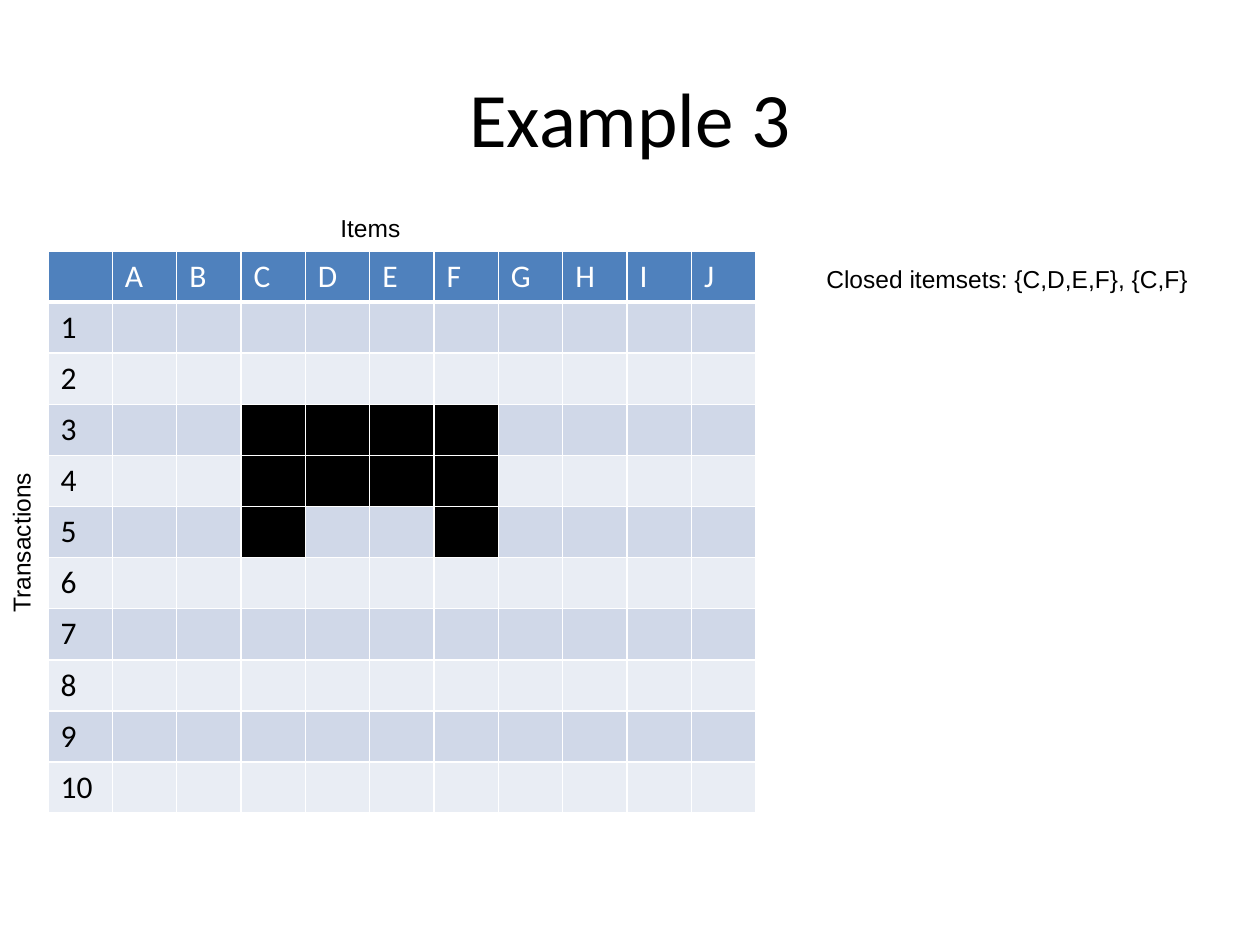
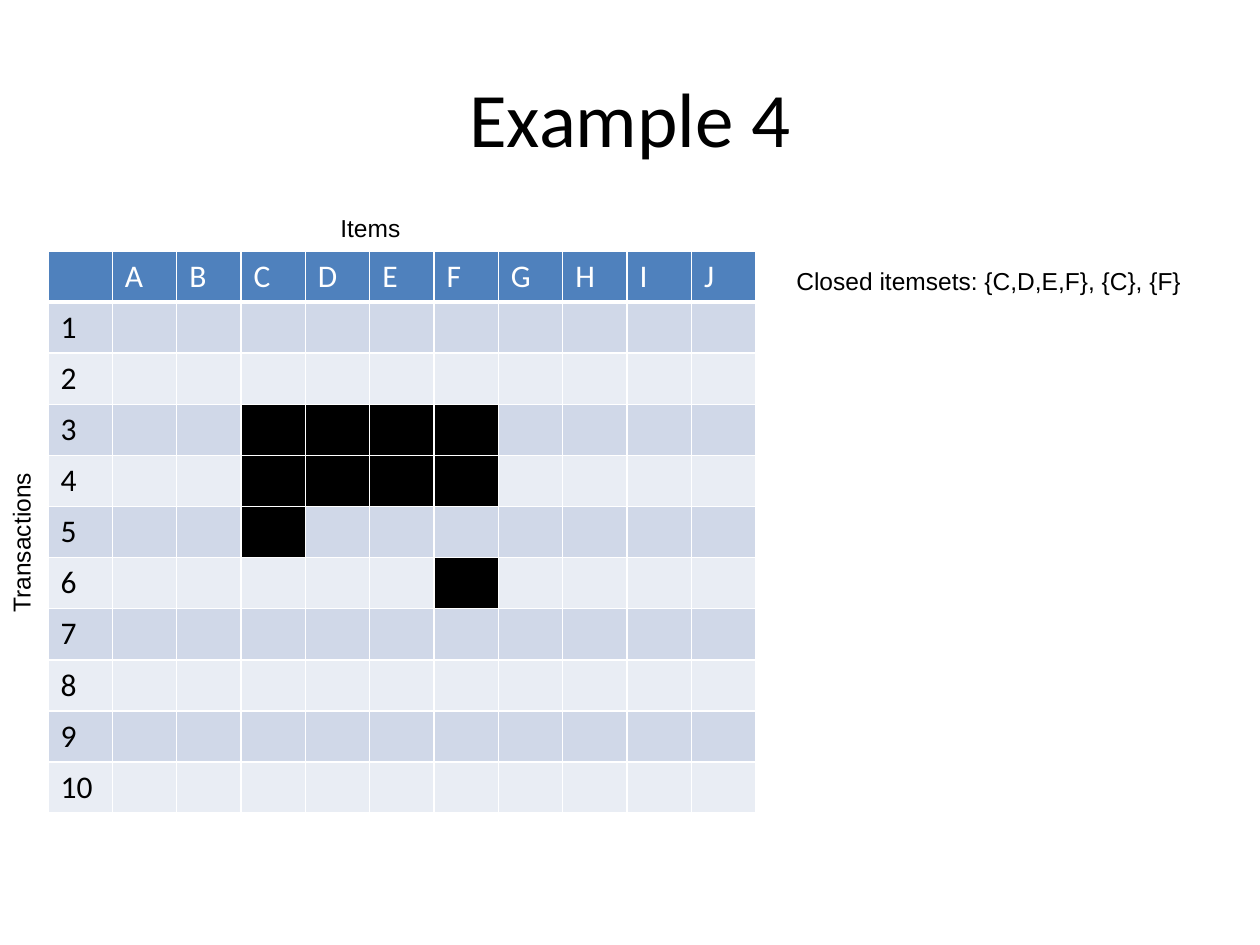
import pptx
import pptx.util
import pptx.dml.color
import pptx.enum.text
import pptx.oxml
import pptx.oxml.ns

PX_PER_INCH = 126
BLACK = pptx.dml.color.RGBColor(0x00, 0x00, 0x00)
WHITE = pptx.dml.color.RGBColor(0xFF, 0xFF, 0xFF)
HEADER_BLUE = pptx.dml.color.RGBColor(0x4F, 0x81, 0xBD)
DARK_BAND = pptx.dml.color.RGBColor(0xD0, 0xD8, 0xE8)
LIGHT_BAND = pptx.dml.color.RGBColor(0xE9, 0xED, 0xF4)

ITEMS = "ABCDEFGHIJ"
GRID_SIZE = len(ITEMS) + 1

EXAMPLES = [
    {
        "title": "Example 3",
        "baskets": {3: "CDEF", 4: "CDEF", 5: "CF"},
        "answer": ("Closed itemsets: {C,D,E,F}, {C,F}", 814, 258, 428),
    },
    {
        "title": "Example 4",
        "baskets": {3: "CDEF", 4: "CDEF", 5: "C", 6: "F"},
        "answer": ("Closed itemsets: {C,D,E,F}, {C}, {F}", 784, 260, 456),
    },
]


def px(count):
    return pptx.util.Emu(round(count * 914400 / PX_PER_INCH))


def write(frame, text, size=14, font="Arial", color=BLACK, align=None):
    para = frame.paragraphs[0]
    para.alignment = align
    span = para.add_run()
    span.text = text
    span.font.size = pptx.util.Pt(size)
    span.font.name = font
    span.font.bold = False
    span.font.color.rgb = color


deck = pptx.Presentation()
deck.slide_width = px(1260)
deck.slide_height = px(945)

for example in EXAMPLES:
    page = deck.slides.add_slide(deck.slide_layouts[5])

    title = page.shapes.title
    title.left, title.top, title.width, title.height = px(63), px(38), px(1134), px(158)
    title.text_frame.vertical_anchor = pptx.enum.text.MSO_ANCHOR.MIDDLE
    write(title.text_frame, example["title"], size=44, font="Calibri",
          align=pptx.enum.text.PP_ALIGN.CENTER)

    table = page.shapes.add_table(
        GRID_SIZE, GRID_SIZE, px(48), px(251), px(708), px(562)).table
    for column in table.columns:
        column.width = px(708 / GRID_SIZE)
    for row in table.rows:
        row.height = px(562 / GRID_SIZE)

    for transaction in range(GRID_SIZE):
        for position, item in enumerate(" " + ITEMS):
            cell = table.cell(transaction, position)
            properties = cell._tc.get_or_add_tcPr()
            for side in "LRTB":
                weight = 3 if transaction == 0 and side == "B" else 1
                properties.append(pptx.oxml.parse_xml(
                    f'<a:ln{side} {pptx.oxml.ns.nsdecls("a")} w="{weight * 12700}">'
                    f'<a:solidFill><a:srgbClr val="{WHITE}"/></a:solidFill></a:ln{side}>'))
            cell.fill.solid()
            if transaction == 0:
                cell.fill.fore_color.rgb = HEADER_BLUE
            elif item in example["baskets"].get(transaction, ""):
                cell.fill.fore_color.rgb = BLACK
            else:
                cell.fill.fore_color.rgb = DARK_BAND if transaction % 2 else LIGHT_BAND

            if transaction == 0 and position > 0:
                write(cell.text_frame, item, size=18, font="Calibri", color=WHITE)
            elif transaction > 0 and position == 0:
                write(cell.text_frame, str(transaction), size=18, font="Calibri")

    labels = [
        ("Items", 328, 207, 97, 0),
        ("Transactions", -68, 507, 186, 270),
        (*example["answer"], 0),
    ]
    for text, left, top, width, rotation in labels:
        box = page.shapes.add_textbox(px(left), px(top), px(width), px(50))
        box.rotation = rotation
        box.text_frame.word_wrap = False
        box.text_frame.auto_size = pptx.enum.text.MSO_AUTO_SIZE.SHAPE_TO_FIT_TEXT
        write(box.text_frame, text)

deck.save("out.pptx")
